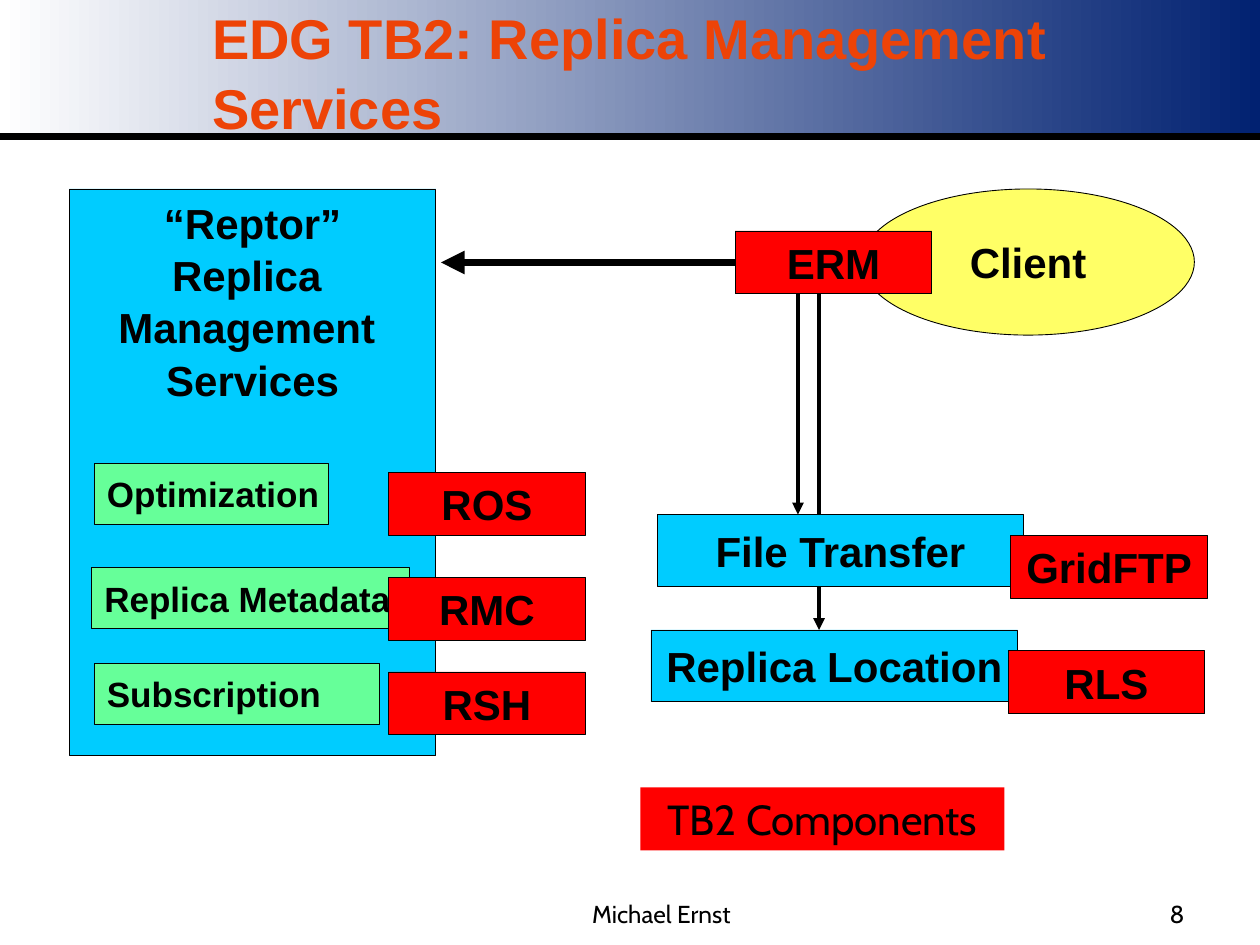
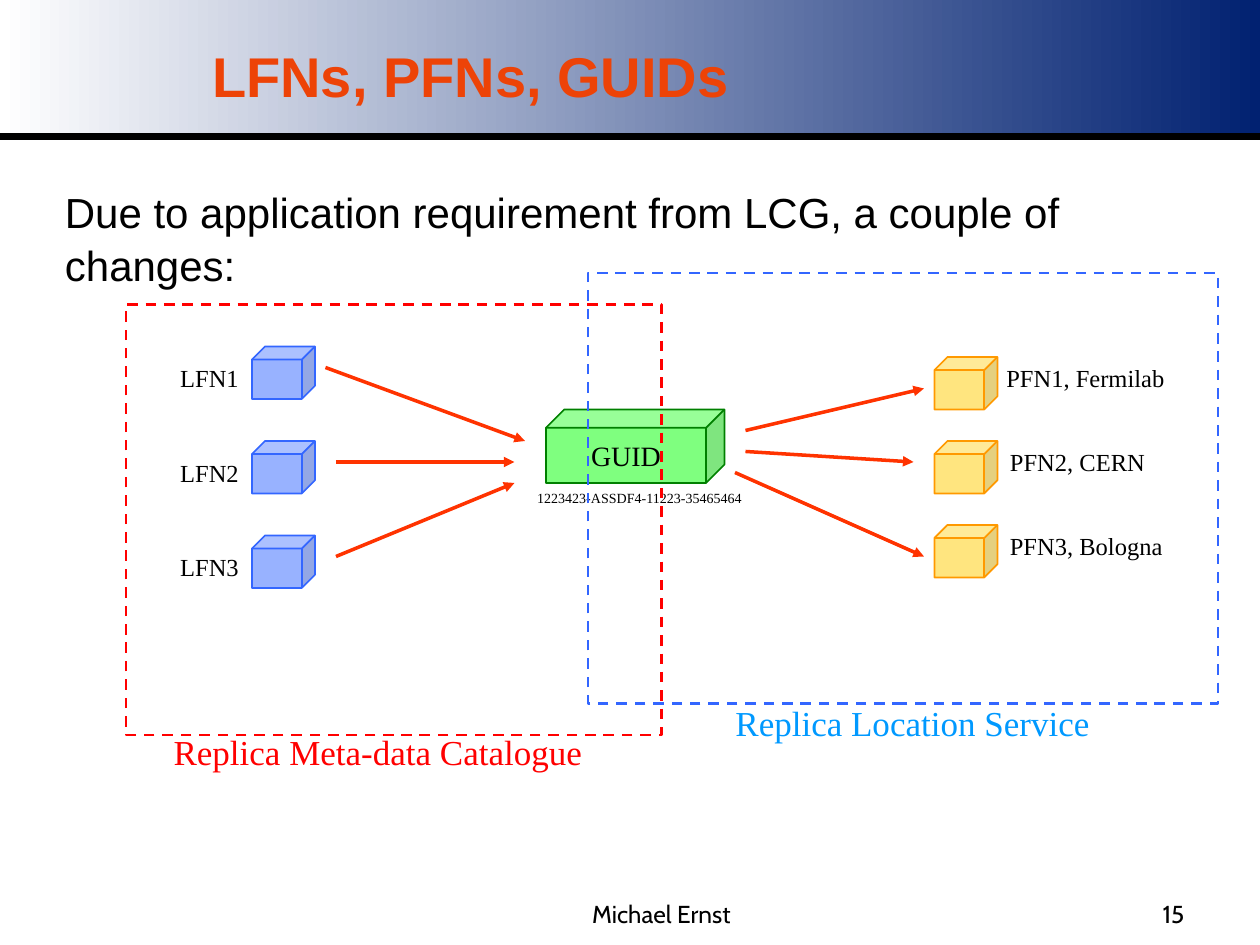
"""Builds two slides on replica management services and file naming."""
from lxml.etree import SubElement
from pptx import Presentation
from pptx.dml.color import RGBColor
from pptx.enum.dml import MSO_LINE
from pptx.enum.shapes import MSO_CONNECTOR, MSO_SHAPE
from pptx.enum.text import MSO_ANCHOR, MSO_AUTO_SIZE, PP_ALIGN
from pptx.oxml.ns import qn
from pptx.util import Pt

RECT, OVAL, CUBE = MSO_SHAPE.RECTANGLE, MSO_SHAPE.OVAL, MSO_SHAPE.CUBE
LEFT, CENTER, RIGHT = PP_ALIGN.LEFT, PP_ALIGN.CENTER, PP_ALIGN.RIGHT
TOP, MIDDLE, BOTTOM = MSO_ANCHOR.TOP, MSO_ANCHOR.MIDDLE, MSO_ANCHOR.BOTTOM
STRAIGHT = MSO_CONNECTOR.STRAIGHT
DASH = MSO_LINE.DASH
NO_AUTOFIT = MSO_AUTO_SIZE.NONE
TITLE_ONLY = 5

SANS, SERIF, FOOTER_FONT = "Arial", "Times New Roman", "Cabin"
LINE_SPACING = 1.04
COLORS = {
    "black": "000000", "white": "FFFFFF", "navy": "012171", "title": "ED4307",
    "service": "00CCFF", "part": "66FF99", "client": "FFFF66", "component": "FF0000",
    "bullet": "3333CC", "logical": "3366FF", "physical": "FFCC00",
    "physical_edge": "FF9900", "guid": "00FF00", "guid_edge": "008000",
    "arrow": "FF3300", "location": "0099FF", "metadata": "FF0000",
}


def rgb(name):
    """Return the named colour."""
    return RGBColor.from_string(COLORS[name])


def style_text(shape, text, size, font=SANS, color="black", bold=False,
               align=CENTER, anchor=MIDDLE, wrap=False, spacing=None):
    """Fill a shape with text in one font."""
    frame = shape.text_frame
    frame.text = text
    frame.word_wrap = wrap
    frame.auto_size = NO_AUTOFIT
    frame.vertical_anchor = anchor
    for para in frame.paragraphs:
        para.alignment = align
        para.line_spacing = spacing
        para.font.size = Pt(size)
        para.font.name = font
        para.font.bold = bold
        para.font.color.rgb = rgb(color)


def add_label(page, text, left, top, width, height, size, font=SERIF, **style):
    """Add a text box."""
    box = page.shapes.add_textbox(Pt(left), Pt(top), Pt(width), Pt(height))
    style_text(box, text, size, font, **{"anchor": TOP, **style})
    return box


def add_figure(page, kind, left, top, width, height, fill=None, edge="black",
               weight=0.5, alpha=None):
    """Add a preset shape with its fill and outline."""
    shape = page.shapes.add_shape(kind, Pt(left), Pt(top), Pt(width), Pt(height))
    shape.shadow.inherit = False
    if fill:
        shape.fill.solid()
        shape.fill.fore_color.rgb = rgb(fill)
    else:
        shape.fill.background()
    if alpha:
        color = shape.element.spPr.find(".//" + qn("a:srgbClr"))
        SubElement(color, qn("a:alpha")).set("val", str(alpha * 1000))
    if edge:
        shape.line.color.rgb = rgb(edge)
        shape.line.width = Pt(weight)
    else:
        shape.line.fill.background()
    return shape


def add_block(page, text, left, top, width, height, fill, size=24, kind=RECT, **style):
    """Add an outlined shape with bold text."""
    shape = add_figure(page, kind, left, top, width, height, fill)
    style_text(shape, text, size, bold=True, **style)


def add_component(page, text, left, top):
    """Add the red box of one testbed component."""
    add_block(page, text, left, top, 112.5, 36, "component")


def add_cube(page, left, top, fill, edge, width=36, height=30):
    """Add a half-transparent cube."""
    return add_figure(page, CUBE, left, top, width, height, fill, edge, 1, alpha=50)


def add_line(page, start, end, weight, color="black", arrow=True):
    """Add a straight line, with an arrowhead at its end if wanted."""
    line = page.shapes.add_connector(STRAIGHT, *(Pt(value) for value in (*start, *end)))
    line.line.color.rgb = rgb(color)
    line.line.width = Pt(weight)
    if arrow:
        SubElement(line.get_or_add_ln(), qn("a:tailEnd")).set("type", "triangle")
    SubElement(line.element.spPr, qn("a:effectLst"))


def add_frame(page, left, top, width, edge):
    """Add the dashed outline around one service."""
    frame = add_figure(page, RECT, left, top, width, 246, edge=edge, weight=1.5)
    frame.line.dash_style = DASH


def add_bullet(page, text):
    """Add the bulleted body text."""
    box = page.shapes.add_textbox(Pt(30), Pt(102), Pt(660), Pt(384))
    props = box.text_frame.paragraphs[0]._p.get_or_add_pPr()
    props.set("marL", str(Pt(27)))
    props.set("indent", str(-Pt(27)))
    color = SubElement(props, qn("a:buClr"))
    SubElement(color, qn("a:srgbClr")).set("val", COLORS["bullet"])
    SubElement(props, qn("a:buSzPct")).set("val", "60000")
    SubElement(props, qn("a:buChar")).set("char", "➢")
    style_text(box, text, 24, align=LEFT, anchor=TOP, wrap=True, spacing=LINE_SPACING)


def add_page(deck, title, number, title_top):
    """Add a slide with its band, title and footer."""
    page = deck.slides.add_slide(deck.slide_layouts[TITLE_ONLY])
    band = add_figure(page, RECT, 0, 0, 720, 78, "navy", edge=None)
    band.fill.gradient()
    band.fill.gradient_angle = 180
    for stop, color in zip(band.fill.gradient_stops, ("navy", "white")):
        stop.color.rgb = rgb(color)
    add_line(page, (0, 78), (720, 78), 4, arrow=False)

    heading = page.shapes.title
    heading.left, heading.top, heading.width, heading.height = (
        Pt(114), Pt(title_top), Pt(531), Pt(66))
    style_text(heading, title, 32, color="title", bold=True, align=LEFT,
               anchor=BOTTOM, wrap=True, spacing=LINE_SPACING)
    heading.element.getparent().append(heading.element)

    for text, left, width, align in (("Michael Ernst", 264, 228, CENTER),
                                     (number, 534, 150, RIGHT)):
        add_label(page, text, left, 498, width, 36, 14, FOOTER_FONT,
                  align=align, anchor=BOTTOM, wrap=True)
    return page


def build_services(deck):
    """Build the diagram of replica management services."""
    page = add_page(deck, "EDG TB2: Replica Management Services", "8", 18)
    add_block(page, "“Reptor”\nReplica \vManagement \vServices", 39.6, 108, 209.5, 324,
              "service", anchor=TOP, spacing=LINE_SPACING)
    for text, left, top, width in (("Optimization", 54, 264.75, 134),
                                   ("Replica Metadata", 52.5, 324.25, 181.5),
                                   ("Subscription", 54, 379, 163)):
        add_block(page, text, left, top, width, 35, "part", 20, align=LEFT)
    add_block(page, "Client", 492.5, 108, 190, 83.5, "client", kind=OVAL)

    add_line(page, (492.5, 150), (252, 150), 4.5)
    add_line(page, (456, 168), (456, 294), 2.25)
    add_block(page, "Replica Location", 372, 360, 209.5, 41, "service")
    add_line(page, (468, 168), (468, 360), 2.25)
    add_block(page, "File Transfer", 375.5, 294, 209.5, 41, "service")

    for text, left, top in (("ERM", 420, 132), ("RMC", 222, 330), ("ROS", 222, 270),
                            ("RSH", 222, 384), ("GridFTP", 577.5, 306),
                            ("RLS", 576, 372)):
        add_component(page, text, left, top)
    legend = add_figure(page, RECT, 366, 450, 208, 36, "component", edge=None)
    style_text(legend, "TB2 Components", 24, FOOTER_FONT)


def build_names(deck):
    """Build the mapping of logical names to physical names."""
    page = add_page(deck, "LFNs, PFNs, GUIDs", "15", 0)
    add_bullet(page, "Due to application requirement from LCG, a couple of changes:")

    physical = (("PFN1, Fermilab", 568, 104.5), ("PFN2, CERN", 570, 91.5),
                ("PFN3, Bologna", 570, 101.5))
    for row, (text, left, width) in enumerate(physical):
        top = 204 + 48 * row
        add_cube(page, 534, top, "physical", "physical_edge")
        add_label(page, text, left, top, width, 24.5, 14)
    for row in range(3):
        top = 198 + 54 * row
        add_cube(page, 144, top, "logical", "logical")
        add_label(page, f"LFN{row + 1}", 96, top + 6, 47.5, 24.5, 14)

    guid = add_cube(page, 312, 234, "guid", "guid_edge", 102, 42)
    style_text(guid, "GUID", 16, SERIF)
    add_label(page, "1223423-ASSDF4-11223-35465464", 299.5, 276, 132, 17.5, 8)

    for start, end in (((186, 210), (300, 252)), ((192, 264), (294, 264)),
                       ((192, 318), (294, 276)), ((426, 246), (528, 222)),
                       ((426, 258), (522, 264)), ((420, 270), (528, 318))):
        add_line(page, start, end, 2, "arrow")

    add_frame(page, 336, 156, 360, "logical")
    add_label(page, "Replica Location Service", 413, 397.5, 217, 31.5, 20,
              color="location")
    add_frame(page, 72, 174, 306, "metadata")
    add_label(page, "Replica Meta-data Catalogue", 92, 414, 248, 31.5, 20,
              color="metadata")


def main():
    """Build and save the deck."""
    deck = Presentation()
    deck.slide_width, deck.slide_height = Pt(720), Pt(540)
    build_services(deck)
    build_names(deck)
    deck.save("out.pptx")


if __name__ == "__main__":
    main()
